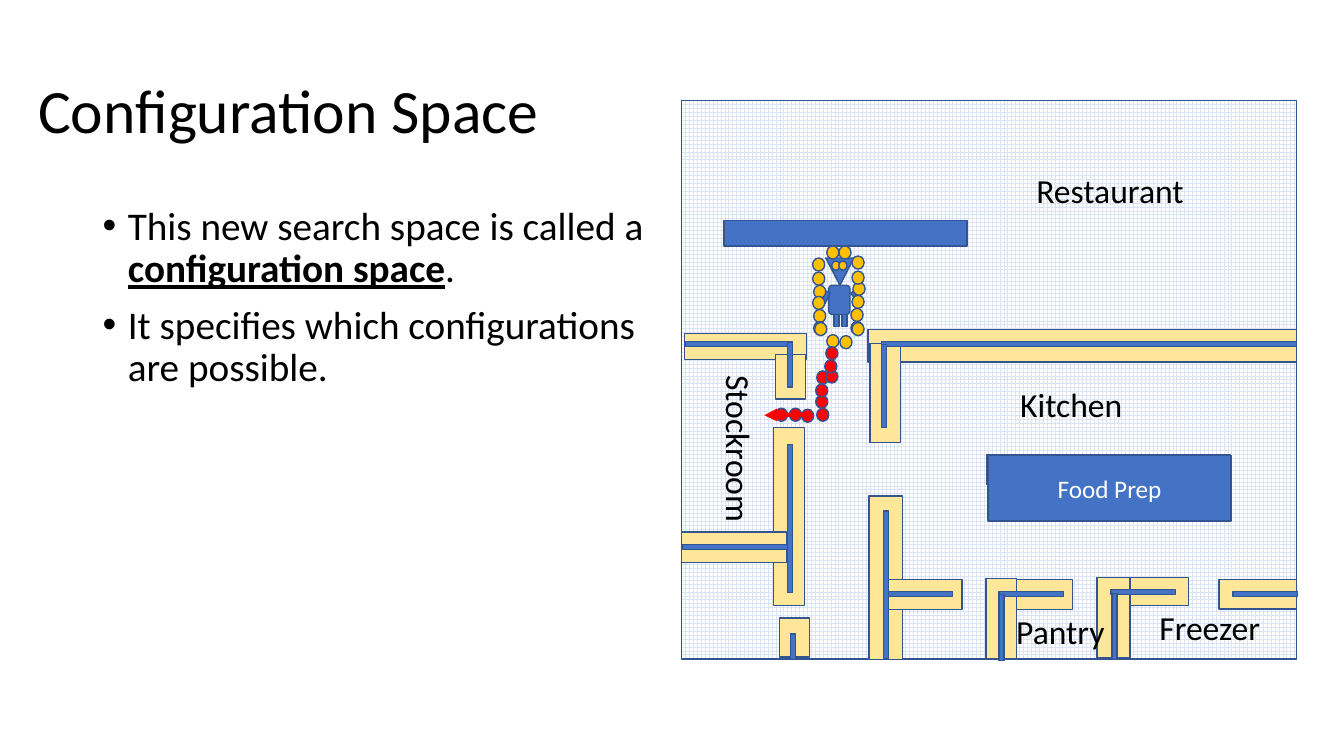
from typing import NamedTuple

from lxml import etree
from pptx import Presentation
from pptx.dml.color import RGBColor
from pptx.enum.dml import MSO_PATTERN
from pptx.enum.shapes import MSO_CONNECTOR, MSO_SHAPE
from pptx.enum.text import MSO_ANCHOR, MSO_AUTO_SIZE, PP_ALIGN
from pptx.oxml.ns import qn
from pptx.util import Pt

RECT, OVAL = MSO_SHAPE.RECTANGLE, MSO_SHAPE.OVAL
ROUNDED, TRIANGLE = MSO_SHAPE.ROUNDED_RECTANGLE, MSO_SHAPE.ISOSCELES_TRIANGLE
STRAIGHT, LARGE_GRID = MSO_CONNECTOR.STRAIGHT, MSO_PATTERN.LARGE_GRID
MIDDLE, CENTER = MSO_ANCHOR.MIDDLE, PP_ALIGN.CENTER
GROW = MSO_AUTO_SIZE.SHAPE_TO_FIT_TEXT

FONT = "Calibri"
BLACK, WHITE = "000000", "FFFFFF"
BLUE, OUTLINE, GRID = "4472C4", "325491", "DAE3F3"
CLEARANCE, AMBER, RED = "FFE699", "FFC000", "FF0000"
PX = 9144  # 100 px to the inch
DOT_WIDTH, DOT_HEIGHT, WALL = 12, 13, 5


class Box(NamedTuple):
    left: int
    top: int
    width: int
    height: int


class Part(NamedTuple):
    kind: int
    box: Box
    fill: str
    rotation: float = 0


class Label(NamedTuple):
    text: str
    box: Box
    rotation: float = 0


def color(value: str) -> RGBColor:
    return RGBColor.from_string(value)


def emu(box: Box) -> list[int]:
    return [length * PX for length in box]


def set_font(font, size: int, fill: str) -> None:
    font.name, font.size = FONT, Pt(size)
    font.color.rgb = color(fill)


def add_part(shapes, part: Part):
    shape = shapes.add_shape(part.kind, *emu(part.box))
    shape.shadow.inherit = False
    shape.rotation = part.rotation
    shape.fill.solid()
    shape.fill.fore_color.rgb = color(part.fill)
    shape.line.color.rgb = color(OUTLINE)
    shape.line.width = Pt(1)
    return shape


def add_dots(shapes, places: list[tuple[int, int]], fill: str) -> None:
    for left, top in places:
        add_part(shapes, Part(OVAL, Box(left, top, DOT_WIDTH, DOT_HEIGHT), fill))


def add_label(shapes, label: Label) -> None:
    shape = shapes.add_textbox(*emu(label.box))
    shape.rotation = label.rotation
    text_frame = shape.text_frame
    text_frame.word_wrap = False
    text_frame.auto_size = GROW
    text_frame.text = label.text
    set_font(text_frame.paragraphs[0].runs[0].font, 24, BLACK)


def add_bullet(paragraph) -> None:
    properties = paragraph._p.get_or_add_pPr()
    properties.set("marL", str(25 * PX))
    properties.set("indent", str(-25 * PX))
    etree.SubElement(properties, qn("a:buFont"), typeface="Arial")
    etree.SubElement(properties, qn("a:buChar"), char="•")


ROBOT = [
    Part(TRIANGLE, Box(819, 256, 28, 27), BLUE, 180),
    Part(OVAL, Box(825, 259, 8, 9), AMBER),
    Part(OVAL, Box(832, 259, 8, 9), AMBER),
    Part(ROUNDED, Box(822, 283, 21, 29), BLUE),
    Part(RECT, Box(827, 312, 5, 12), BLUE),
    Part(RECT, Box(835, 312, 5, 12), BLUE),
    Part(RECT, Box(847, 288, 5, 12), BLUE, 319.4),
    Part(RECT, Box(816, 289, 5, 12), BLUE, 24.9),
]
CLEARANCES = [
    Box(679, 331, 121, 26), Box(861, 327, 425, 32), Box(863, 341, 30, 98),
    Box(862, 492, 33, 162), Box(880, 575, 74, 30), Box(990, 575, 74, 30),
    Box(1102, 573, 77, 28), Box(978, 574, 30, 80), Box(1088, 573, 33, 80),
    Box(1209, 575, 77, 29), Box(979, 451, 241, 30), Box(767, 424, 31, 177),
    Box(676, 528, 104, 30), Box(769, 352, 30, 44), Box(773, 613, 30, 39),
]
WALLS = [
    Box(680, 339, 106, WALL), Box(874, 339, 412, WALL), Box(874, 342, WALL, 82),
    Box(876, 507, WALL, 147), Box(881, 587, 64, WALL), Box(991, 587, 64, WALL),
    Box(1102, 585, 64, WALL), Box(991, 590, WALL, 65), Box(1103, 589, WALL, 65),
    Box(1223, 587, 64, WALL), Box(781, 441, WALL, 147), Box(677, 540, 104, WALL),
    Box(781, 340, WALL, 44), Box(784, 629, WALL, 25),
]
ROBOT_EDGE = [
    (806, 256), (806, 270), (807, 283), (806, 294), (807, 307), (807, 319),
    (844, 319), (844, 306), (845, 293), (846, 280), (845, 269), (845, 254),
    (832, 244), (820, 244), (808, 320), (820, 332), (833, 333), (845, 320),
]
ROUTE = [
    (769, 405), (783, 405), (795, 406), (810, 405), (809, 392),
    (809, 381), (810, 368), (819, 367), (818, 357), (819, 344),
]
LABELS = [
    Label("Restaurant", Box(1018, 164, 168, 50)),
    Label("Kitchen", Box(1002, 376, 123, 50)),
    Label("Freezer", Box(1140, 597, 121, 50)),
    Label("Pantry", Box(998, 601, 109, 50)),
    Label("Stockroom", Box(650, 421, 167, 50), 90),
]
BULLETS = [
    ["This new search space is called a ", "configuration space", "."],
    ["It specifies which configurations are possible."],
]
KEY_TERM = "configuration space"


def add_title(shapes) -> None:
    text_frame = shapes.add_textbox(*emu(Box(28, 40, 630, 145))).text_frame
    text_frame.word_wrap = True
    text_frame.vertical_anchor = MIDDLE
    text_frame.text = "Configuration Space"
    paragraph = text_frame.paragraphs[0]
    paragraph.line_spacing = 0.9
    set_font(paragraph.runs[0].font, 44, BLACK)


def add_body(shapes) -> None:
    text_frame = shapes.add_textbox(*emu(Box(92, 200, 567, 476))).text_frame
    text_frame.word_wrap = True
    for index, pieces in enumerate(BULLETS):
        paragraph = text_frame.add_paragraph() if index else text_frame.paragraphs[0]
        add_bullet(paragraph)
        paragraph.line_spacing = 0.9
        if index:
            paragraph.space_before = Pt(10)
        for piece in pieces:
            run = paragraph.add_run()
            run.text = piece
            set_font(run.font, 28, BLACK)
            if piece == KEY_TERM:
                run.font.bold = run.font.underline = True


def add_route_arrow(shapes) -> None:
    ends = [length * PX for length in (805, 411, 758, 412)]
    arrow = shapes.add_connector(STRAIGHT, *ends)
    arrow.line.color.rgb = color(RED)
    arrow.line.width = Pt(3)
    etree.SubElement(arrow.line._get_or_add_ln(), qn("a:tailEnd"), type="triangle")
    etree.SubElement(arrow._element.spPr, qn("a:effectLst"))


def main() -> None:
    presentation = Presentation()
    presentation.slide_width, presentation.slide_height = 1333 * PX, 750 * PX
    slide = presentation.slides.add_slide(presentation.slide_layouts[6])
    shapes = slide.shapes

    # Floor with its grid
    floor = add_part(shapes, Part(RECT, Box(676, 100, 610, 554), WHITE))
    floor.fill.patterned()
    floor.fill.pattern = LARGE_GRID
    floor.fill.fore_color.rgb = color(GRID)
    floor.fill.back_color.rgb = color(WHITE)

    # Robot and counter
    robot = shapes.add_group_shape()
    for part in ROBOT:
        add_part(robot.shapes, part)
    add_part(shapes, Part(RECT, Box(718, 219, 241, 25), BLUE))

    # Clearance zones under the walls
    for fill, boxes in ((CLEARANCE, CLEARANCES), (BLUE, WALLS)):
        for box in boxes:
            add_part(shapes, Part(RECT, box, fill))

    # Food preparation table
    table = add_part(shapes, Part(RECT, Box(980, 452, 241, 65), BLUE))
    table.text_frame.text = "Food Prep"
    table.text_frame.vertical_anchor = MIDDLE
    paragraph = table.text_frame.paragraphs[0]
    paragraph.alignment = CENTER
    set_font(paragraph.runs[0].font, 18, WHITE)

    # Wording
    add_title(shapes)
    add_body(shapes)
    for label in LABELS:
        add_label(shapes, label)

    # Robot outline and route to the stockroom
    add_dots(shapes, ROBOT_EDGE, AMBER)
    add_dots(shapes, ROUTE, RED)
    add_route_arrow(shapes)

    presentation.save("out.pptx")


if __name__ == "__main__":
    main()
